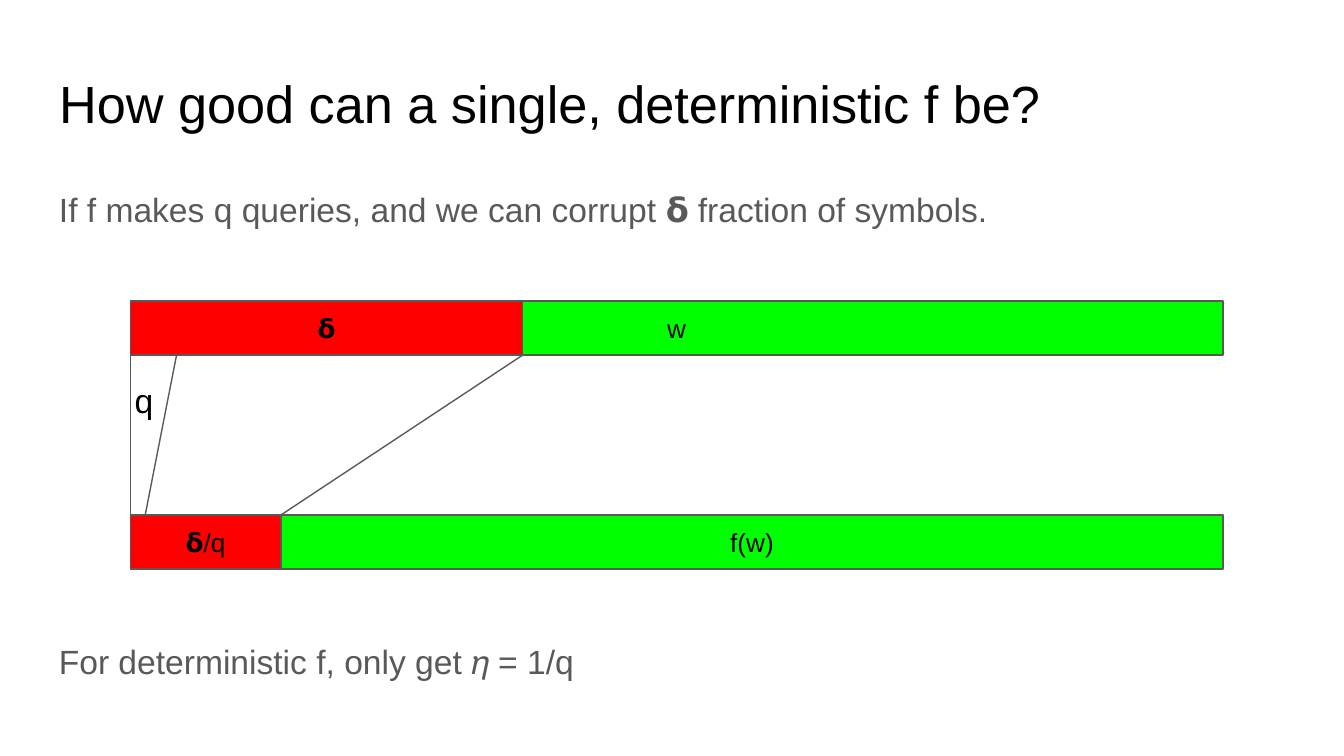
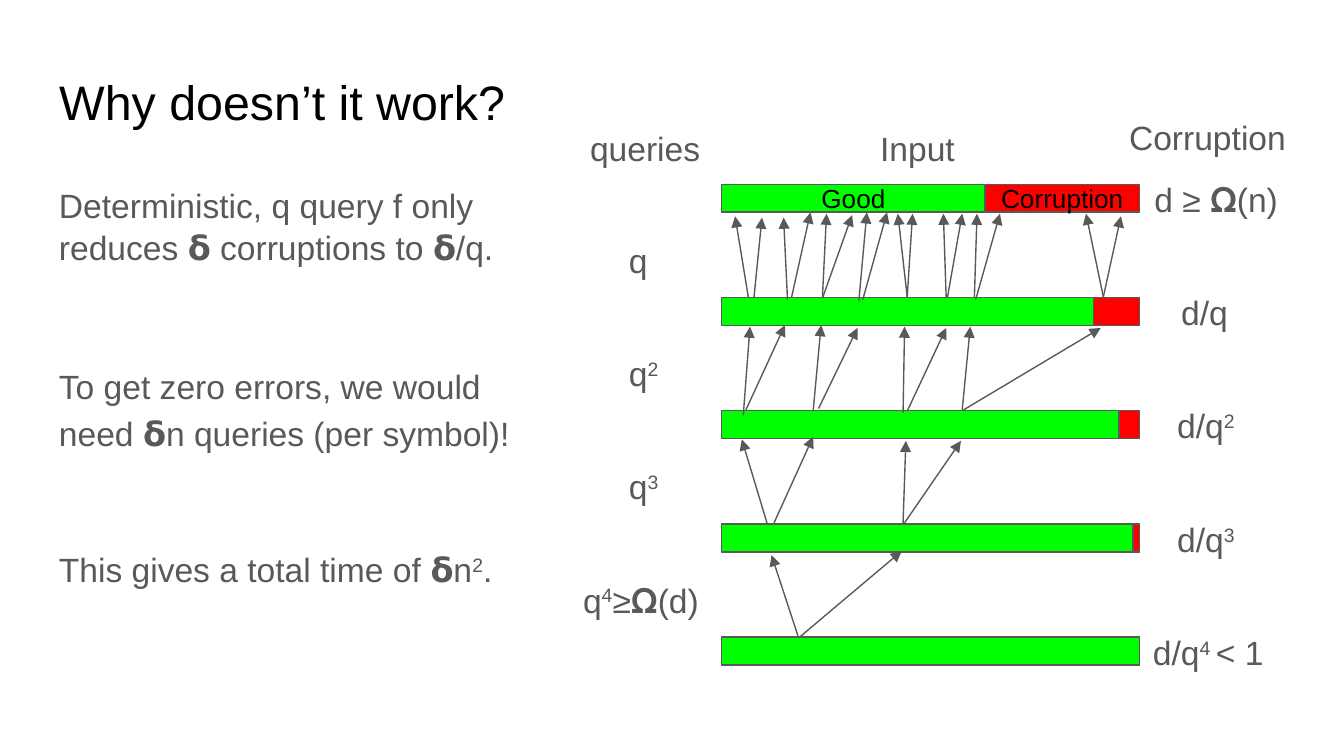
from lxml.etree import SubElement
from pptx import Presentation
from pptx.dml.color import RGBColor
from pptx.enum.shapes import MSO_CONNECTOR, MSO_SHAPE
from pptx.enum.text import MSO_ANCHOR, MSO_AUTO_SIZE, PP_ALIGN
from pptx.oxml.ns import qn
from pptx.util import Pt

FONT = "Arial"
BLACK = "000000"
GRAY = "595959"
GREEN = "00FF00"
RED = "FF0000"
MARGIN = 24.5


def color(value):
    return RGBColor.from_string(value)


class Slides:
    def __init__(self):
        self.deck = Presentation()
        self.deck.slide_width = Pt(720)
        self.deck.slide_height = Pt(405)
        self.page = None

    def fill_text(self, frame, paragraphs, size, shade, spacing=None, align=PP_ALIGN.LEFT):
        frame.word_wrap = True
        frame.auto_size = MSO_AUTO_SIZE.NONE
        frame.margin_left = frame.margin_right = Pt(7.2)
        frame.margin_top = frame.margin_bottom = Pt(7.2)
        for index, text in enumerate(paragraphs):
            para = frame.paragraphs[0] if index == 0 else frame.add_paragraph()
            para.alignment = align
            if spacing:
                para.line_spacing = spacing
            for position, part in enumerate(text.split("^")):
                if not part:
                    continue
                span = para.add_run()
                span.text = part
                span.font.name = FONT
                span.font.size = Pt(size)
                span.font.color.rgb = color(shade)
                if position % 2:
                    span.font._element.set("baseline", "30000")

    def new_page(self, title, width, size):
        self.page = self.deck.slides.add_slide(self.deck.slide_layouts[5])
        box = self.page.shapes.title
        box.left, box.top, box.width, box.height = Pt(MARGIN), Pt(35), Pt(width), Pt(45)
        box.text_frame.vertical_anchor = MSO_ANCHOR.TOP
        self.fill_text(box.text_frame, [title], size, BLACK, 0.9)

    def text(self, left, top, width, height, *paragraphs, shade=GRAY, spacing=None):
        box = self.page.shapes.add_textbox(Pt(left), Pt(top), Pt(width), Pt(height))
        self.fill_text(box.text_frame, paragraphs, 18, shade, spacing)
        return box

    def bar(self, left, top, width, height, fill, label=""):
        shape = self.page.shapes.add_shape(
            MSO_SHAPE.RECTANGLE, Pt(left), Pt(top), Pt(width), Pt(height))
        shape.shadow.inherit = False
        shape.fill.solid()
        shape.fill.fore_color.rgb = color(fill)
        shape.line.color.rgb = color(GRAY)
        shape.line.width = Pt(0.75)
        if label:
            shape.text_frame.vertical_anchor = MSO_ANCHOR.MIDDLE
            self.fill_text(shape.text_frame, [label], 14, BLACK, align=PP_ALIGN.CENTER)
        return shape

    def line(self, x1, y1, x2, y2, arrow=False):
        connector = self.page.shapes.add_connector(
            MSO_CONNECTOR.STRAIGHT, Pt(x1), Pt(y1), Pt(x2), Pt(y2))
        connector.line.color.rgb = color(GRAY)
        connector.line.width = Pt(0.75)
        if arrow:
            SubElement(connector.line._get_or_add_ln(), qn("a:tailEnd"), type="triangle")
        SubElement(connector._element.spPr, qn("a:effectLst"))
        return connector


def single_function(slides):
    slides.new_page("How good can a single, deterministic f be?", 671, 28)
    slides.text(MARGIN, 90.7, 671, 49,
                "If f makes q queries, and we can corrupt 𝝳 fraction of symbols.", spacing=1.15)

    left, width, height = 69.8, 585.4, 29
    word_top, image_top = 161.2, 275.9
    word_red, image_red = 210.3, 80.7
    word_bottom = word_top + height
    slides.bar(left, word_top, width, height, GREEN, "w")
    corrupted = slides.bar(left, word_top, word_red, height, RED, "𝝳")
    reduced = slides.bar(left, image_top, image_red, height, RED, "𝝳/q")
    slides.bar(left + image_red, image_top, width - image_red, height, GREEN, "f(w)")

    edge = slides.line(left, image_top, left, word_bottom)
    edge.begin_connect(reduced, 1)
    edge.end_connect(corrupted, 1)
    slides.line(77.8, image_top, 94.6, word_bottom)
    slides.line(left + image_red, image_top, left + word_red, word_bottom)
    slides.text(65, 196.6, 37.5, 36, "q", shade=BLACK)
    slides.text(MARGIN, 336.2, 360, 36, "For deterministic f, only get 𝜂 = 1/q")


QUERY_ARROWS = [
    (401, 159.8, 393.8, 115.9), (403.9, 159.8, 408.2, 116.6),
    (421.9, 160.6, 419.8, 116.6), (424.1, 159.1, 434.2, 113.8),
    (440.6, 159.1, 442.8, 114.5), (440.6, 159.8, 456.5, 115.2),
    (460.1, 161.3, 464.4, 113.8), (462.2, 160.6, 475.2, 113.8),
    (486, 159.1, 481, 114.5), (486, 159.1, 488.9, 114.5),
    (506.9, 159.8, 505.4, 114.5), (507.6, 159.1, 515.5, 114.5),
    (522, 159.1, 523.4, 114.5), (522.7, 160.6, 535.7, 114.5),
    (591.1, 159.1, 581.8, 114.5), (591.1, 159.1, 600.5, 115.9),
    (398.2, 222.5, 401.8, 175), (399.6, 219.6, 420.5, 174.2),
    (435.6, 220.3, 439.9, 174.2), (438.5, 218.9, 459.4, 175.7),
    (483.8, 221, 484.6, 175), (486, 220.3, 506.9, 175.7),
    (515.5, 219.6, 519.8, 175), (516.2, 219.6, 589.7, 175.7),
    (411.1, 280.8, 397.4, 235.4), (414.7, 280.1, 435.6, 234),
    (483.8, 280.1, 485.3, 236.2), (484.6, 280.1, 514.8, 236.2),
    (427.7, 341.3, 413.3, 297.4), (428.4, 341.3, 483.1, 295.2),
]


def repeated_queries(slides):
    slides.new_page("Why doesn’t it work?", 261.5, 25.9)
    slides.text(MARGIN, 90.7, 261.5, 60.5,
                "Deterministic, q query f only reduces 𝝳 corruptions to 𝝳/q.", spacing=1.05)
    outcome = slides.text(MARGIN, 185.8, 261.5, 137.5,
                          "To get zero errors, we would need 𝝳n queries (per symbol)!",
                          "This gives a total time of 𝝳n^2^.", spacing=1.15)
    outcome.text_frame.paragraphs[1].space_before = Pt(48)

    for left, top, width, heading in [(309, 61.2, 73.5, "queries"), (464.4, 61.2, 60, "Input"),
                                      (597.8, 55.4, 100, "Corruption")]:
        slides.text(left, top, width, 31.7, heading)

    left, width, height, first_top, step = 386.6, 223.8, 15, 98.7, 60.65
    levels = [
        (82.6, "Good", "Corruption", 611.3, 87, "d ≥ 𝛀(n)"),
        (24.7, "", "", 625.7, 45, "d/q"),
        (10.8, "", "", 623.5, 49, "d/q^2^"),
        (3.4, "", "", 623.5, 49, "d/q^3^"),
        (0, "", "", 610.6, 81.4, "d/q^4 ^< 1"),
    ]
    for index, (red, good, bad, label_left, label_width, label) in enumerate(levels):
        top = first_top + index * step
        slides.bar(left, top, width - red, height, GREEN, good)
        if red:
            slides.bar(left + width - red, top, red, height, RED, bad)
        slides.text(label_left, top - 10, label_width, 36, label)

    queries = [(329.8, 32.4, "q"), (329.8, 32.4, "q^2^"), (329.8, 32.4, "q^3^"),
               (305.3, 81.4, "q^4^≥𝛀(d)")]
    for index, (label_left, label_width, label) in enumerate(queries):
        slides.text(label_left, first_top + 22.6 + index * step, label_width, 31.7, label)

    for ends in QUERY_ARROWS:
        slides.line(*ends, arrow=True)


def main():
    slides = Slides()
    single_function(slides)
    repeated_queries(slides)
    slides.deck.save("out.pptx")


if __name__ == "__main__":
    main()
